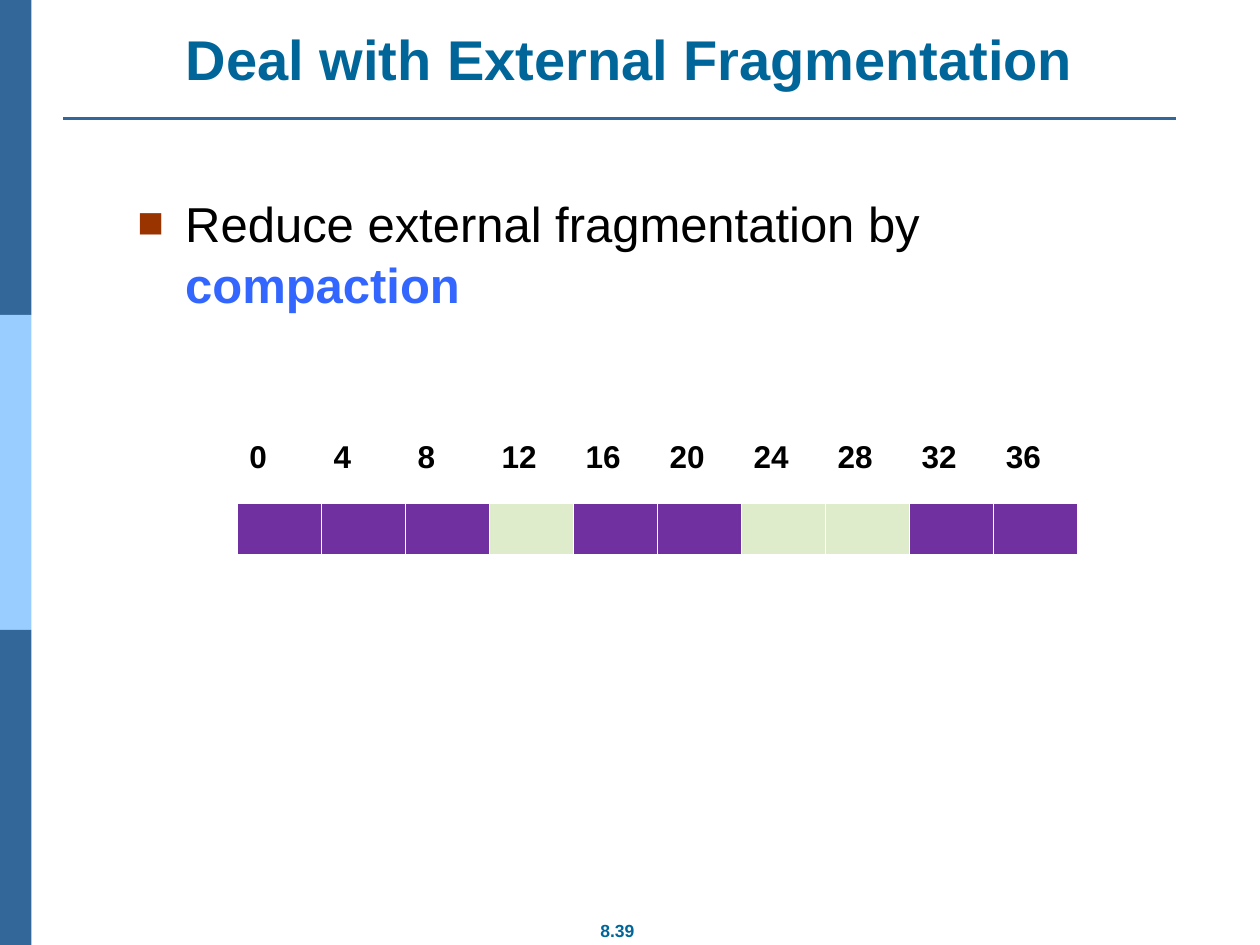
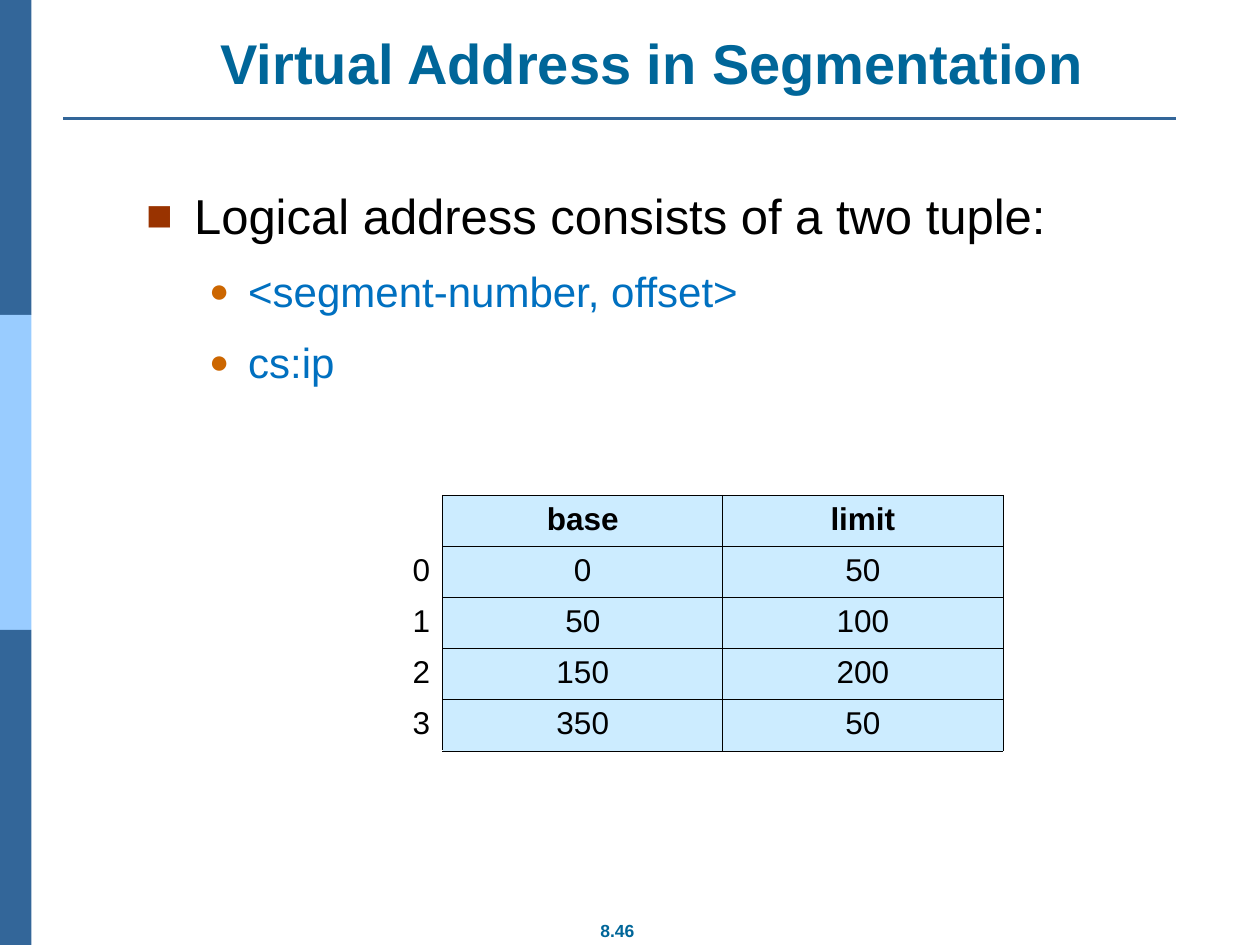
from lxml import etree
from pptx import Presentation
from pptx.dml.color import RGBColor
from pptx.enum.shapes import MSO_CONNECTOR, MSO_SHAPE
from pptx.enum.text import MSO_ANCHOR, PP_ALIGN
from pptx.oxml.ns import qn
from pptx.util import Inches, Pt

RECT, LINE = MSO_SHAPE.RECTANGLE, MSO_CONNECTOR.STRAIGHT
LEFT, MID, RIGHT = PP_ALIGN.LEFT, PP_ALIGN.CENTER, PP_ALIGN.RIGHT
TOP, LOW = MSO_ANCHOR.TOP, MSO_ANCHOR.BOTTOM

FONT = "Arial"
BLUE, SKY, TEAL = "336699", "99CCFF", "006699"
BLACK, WHITE = "000000", "FFFFFF"
USED, FREE, PALE = "7030A0", "DEECCB", "CCECFF"

# The slide is a grid of square units
COLS, ROWS = 10, 7.5

# Per level: indent, hang, space before, size, bullet, its colour, its percent
LEVELS = [
    (0.38, 0.38, 12.2, 28, "■", "993300", 90),
    (0.81, 0.31, 10.5, 24, "●", "CC6600", 80),
]


def grid(*units):
    return [Inches(unit) for unit in units]


def tint(code):
    return RGBColor.from_string(code)


def paint(fill, code):
    if code:
        fill.solid()
        fill.fore_color.rgb = tint(code)
    else:
        fill.background()


def node(home, tag, **attrs):
    return etree.SubElement(home, qn(tag), attrs)


def write(para, text, size, code=BLACK, bold=False):
    run = para.add_run()
    run.text = text
    font = run.font
    font.name, font.size, font.bold = FONT, Pt(size), bold
    font.color.rgb = tint(code)


def frame(slide, box, anchor=TOP):
    text = slide.shapes.add_textbox(*grid(*box)).text_frame
    text.word_wrap = True
    text.vertical_anchor = anchor
    text.margin_left = text.margin_right = text.margin_top = Inches(0.07)
    text.margin_bottom = Inches(0.05)
    return text


def label(slide, box, text, size, anchor=TOP):
    para = frame(slide, box, anchor).paragraphs[0]
    para.alignment = MID
    write(para, text, size, TEAL, True)


# Side band, rule, title and page number
def base(deck, title, box, page):
    slide = deck.slides.add_slide(deck.slide_layouts[6])
    step = ROWS / 3
    for row, code in enumerate((BLUE, SKY, BLUE)):
        band = slide.shapes.add_shape(RECT, *grid(0, row * step, 0.25, step))
        band.shadow.inherit = False
        paint(band.fill, code)
        band.line.fill.background()
    rule = slide.shapes.add_connector(LINE, *grid(0.5, 0.94, 9.33, 0.94))
    rule.line.color.rgb = tint(BLUE)
    rule.line.width = Pt(1.5)
    node(rule._element.spPr, "a:effectLst")
    label(slide, box, title, 32, LOW)
    label(slide, (4.41, 7.23, 0.98, 0.27), page, 10)
    return slide


# Bulleted text: each item is a level and its runs (text, colour, bold)
def points(slide, box, items):
    text = frame(slide, box)
    for spot, (level, runs) in enumerate(items):
        para = text.add_paragraph() if spot else text.paragraphs[0]
        left, hang, gap, size, mark, code, share = LEVELS[level]
        props = para._p.get_or_add_pPr()
        props.set("marL", str(Inches(left)))
        props.set("indent", str(-Inches(hang)))
        node(node(props, "a:buClr"), "a:srgbClr", val=code)
        node(props, "a:buSzPct", val=str(share * 1000))
        node(props, "a:buFont", typeface=FONT)
        node(props, "a:buChar", char=mark)
        para.level = level
        para.line_spacing = 1.05
        if spot:
            para.space_before = Pt(gap)
        for words, shade, bold in runs:
            write(para, words, size, shade, bold)


# Plain table without a banded style
def table(slide, box, rows, cols):
    made = slide.shapes.add_table(rows, cols, *grid(*box)).table
    made.first_row = made.horz_banding = False
    return made


def edge(cell, sides, code, width=0.45):
    props = cell._tc.get_or_add_tcPr()
    for side in sides:
        line = node(props, "a:ln" + side, w=str(Pt(width)))
        node(node(line, "a:solidFill"), "a:srgbClr", val=code)


def put(cell, text, align=LEFT, bold=False):
    para = cell.text_frame.paragraphs[0]
    para.alignment = align
    write(para, text, 18, BLACK, bold)


# Memory strip: addresses above used and free blocks
def strip(slide, box, blocks, step):
    made = table(slide, box, 2, len(blocks))
    made.rows[0].height, made.rows[1].height = grid(0.55, 0.41)
    for col, block in enumerate(blocks):
        head, body = made.cell(0, col), made.cell(1, col)
        put(head, str(col * step), bold=True)
        edge(head, "LRT", WHITE)
        edge(head, "B", WHITE, 1.47)
        paint(head.fill, None)
        edge(body, "LR", WHITE)
        edge(body, "T", WHITE, 1.47)
        edge(body, "B", WHITE)
        paint(body.fill, USED if block == "U" else FREE)


# Segment table: row numbers stand outside the ruled part
def segments(slide, box, heads, pairs):
    rows = [("", *heads)]
    rows += [(num, *pair) for num, pair in enumerate(pairs)]
    made = table(slide, box, len(rows), len(rows[0]))
    for row, values in enumerate(rows):
        for col, value in enumerate(values):
            cell = made.cell(row, col)
            if value != "":
                put(cell, str(value), MID if col else RIGHT, row == 0)
            edge(cell, "LRTB" if col else "R", BLACK)
            paint(cell.fill, PALE if col else None)


def main():
    deck = Presentation()
    deck.slide_width, deck.slide_height = grid(COLS, ROWS)

    slide = base(deck, "Deal with External Fragmentation",
                 (0.5, 0.15, 9, 0.63), "8.39")
    points(slide, (1.02, 1.44, 8.48, 4.95), [
        (0, [("Reduce external fragmentation by ", BLACK, False),
             ("compaction", "3366FF", True)]),
    ])
    strip(slide, (1.88, 3.44, 6.67, 0.96), "UUUFUUFFUU", 4)

    slide = base(deck, "Virtual Address in Segmentation",
                 (0.85, 0.18, 8.65, 0.63), "8.46")
    points(slide, (1.09, 1.38, 8.91, 1.98), [
        (0, [("Logical address consists of a two tuple:", BLACK, False)]),
        (1, [("<segment-number, offset>", "0070C0", False)]),
        (1, [("cs:ip", "0070C0", False)]),
    ])
    segments(slide, (1.29, 3.93, 6.67, 2.03), ("base", "limit"),
             [(0, 50), (50, 100), (150, 200), (350, 50)])

    deck.save("out.pptx")


if __name__ == "__main__":
    main()
